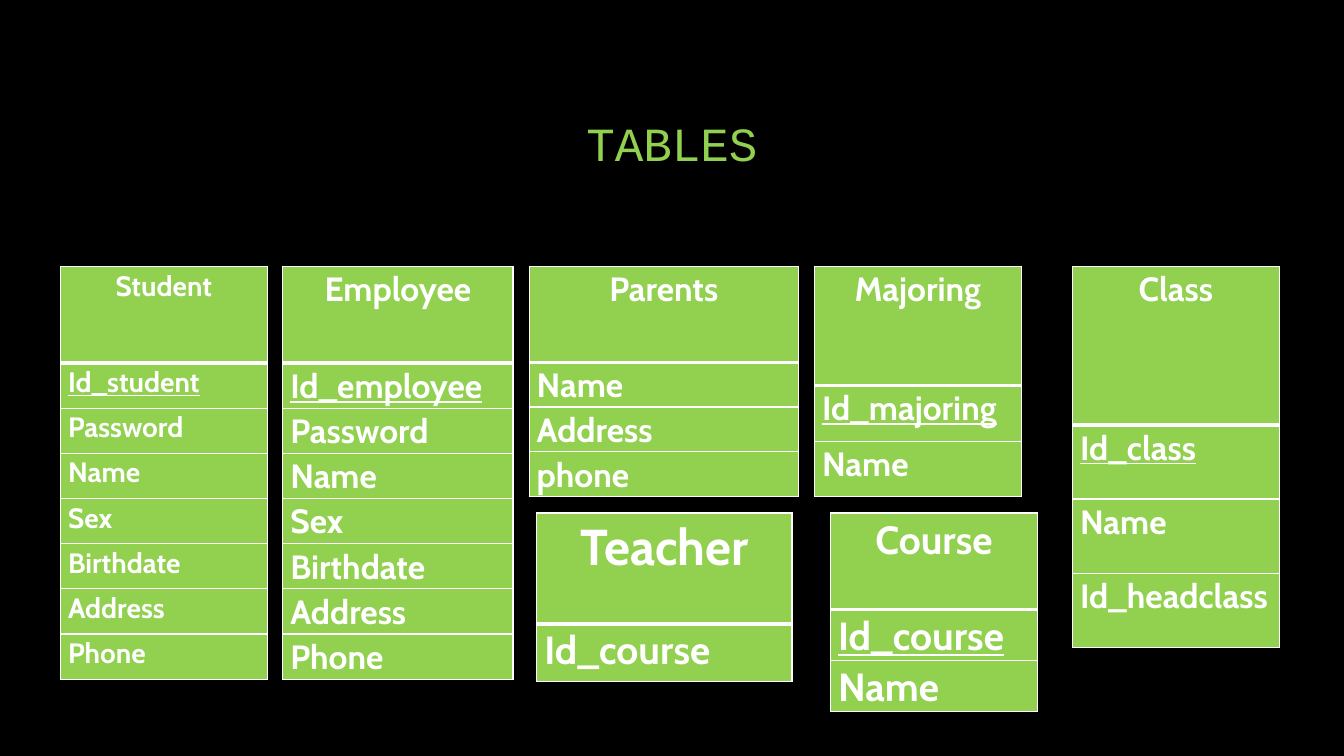
from lxml import etree
from pptx import Presentation
from pptx.dml.color import RGBColor
from pptx.enum import text as t
from pptx.oxml.ns import qn
from pptx.util import Pt

BLACK = RGBColor(0x00, 0x00, 0x00)
GREEN = RGBColor(0x92, 0xD0, 0x50)
WHITE = RGBColor(0xFF, 0xFF, 0xFF)

TOP, LOW = 190.5, 366.4
PERSON = ["Password", "Name", "Sex", "Birthdate", "Address", "Phone"]

# box (left, top, width), head and row height, head and row size, name, key, fields
TABLES = [
    ((43.2, TOP, 147.6), (69, 32.25), (20, 20), "Student", "Id_student", PERSON),
    ((202, TOP, 164.4), (69, 32.25), (24, 24), "Employee", "Id_employee", PERSON),
    ((378, TOP, 192.3), (68.4, 31.9), (24, 24), "Parents", None,
     ["Name", "Address", "phone"]),
    ((383.5, LOW, 182.2), (79.2, 41), (36, 28), "Teacher", None, ["Id_course"]),
    ((581.8, TOP, 147.6), (84.8, 39.8), (24, 24), "Majoring", "Id_majoring", ["Name"]),
    ((593.3, LOW, 147.6), (69, 32.4), (28, 28), "Course", "Id_course", ["Name"]),
    ((766.1, TOP, 147.6), (113, 53), (24, 24), "Class", "Id_class",
     ["Name", "Id_headclass"]),
]


def write(frame, words, size, font="Cabin", color=WHITE, bold=None, line=None,
          align=t.PP_ALIGN.CENTER, space=1.07):
    para = frame.paragraphs[0]
    para.alignment, para.line_spacing = align, space
    run = para.add_run()
    run.text = words
    style = run.font
    style.name, style.size, style.bold, style.underline = font, Pt(size), bold, line
    style.color.rgb = color


def edge(cell, top, low):
    """Draw white cell borders, with the given top and bottom widths."""
    props = cell._tc.get_or_add_tcPr()
    sides = {"L": 1, "R": 1, "T": top, "B": low}
    for spot, (side, width) in enumerate(sides.items()):
        line = etree.Element(qn(f"a:ln{side}"), w=str(Pt(width)))
        fill = etree.SubElement(line, qn("a:solidFill"))
        etree.SubElement(fill, qn("a:srgbClr"), val=str(WHITE))
        props.insert(spot, line)


def add_title(slide, left, top, width, height):
    title = slide.shapes.title
    title.left, title.top = Pt(left), Pt(top)
    title.width, title.height = Pt(width), Pt(height)
    frame = title.text_frame
    frame.vertical_anchor = t.MSO_ANCHOR.BOTTOM
    frame.auto_size = t.MSO_AUTO_SIZE.NONE
    write(frame, "TABLES", 34, font="Courier New", color=GREEN, space=0.9)


def add_entity(slide, box, heights, sizes, name, key, fields):
    """Draw one database table: a heading row, an underlined key, plain fields."""
    left, top, width = box
    rows = [name] + ([key] if key else []) + fields
    tall = heights[0] + heights[1] * (len(rows) - 1)
    table = slide.shapes.add_table(
        len(rows), 1, Pt(left), Pt(top), Pt(width), Pt(tall)).table
    table.horz_banding = False
    for i, words in enumerate(rows):
        part = min(i, 1)
        table.rows[i].height = Pt(heights[part])
        cell = table.cell(i, 0)
        cell.margin_left = cell.margin_right = Pt(5.4)
        cell.margin_top = cell.margin_bottom = 0
        cell.fill.solid()
        cell.fill.fore_color.rgb = GREEN
        edge(cell, top=3 if i == 1 else 1, low=3 if i == 0 else 1)
        write(cell.text_frame, words, sizes[part], bold=True,
              line=True if key and i == 1 else None,
              align=t.PP_ALIGN.JUSTIFY if i else t.PP_ALIGN.CENTER)


def main():
    deck = Presentation()
    deck.slide_width, deck.slide_height = Pt(960), Pt(540)
    slide = deck.slides.add_slide(deck.slide_layouts[5])
    back = slide.background.fill
    back.solid()
    back.fore_color.rgb = BLACK
    add_title(slide, 120, 36, 720, 90)
    for entity in TABLES:
        add_entity(slide, *entity)
    deck.save("out.pptx")


if __name__ == "__main__":
    main()
